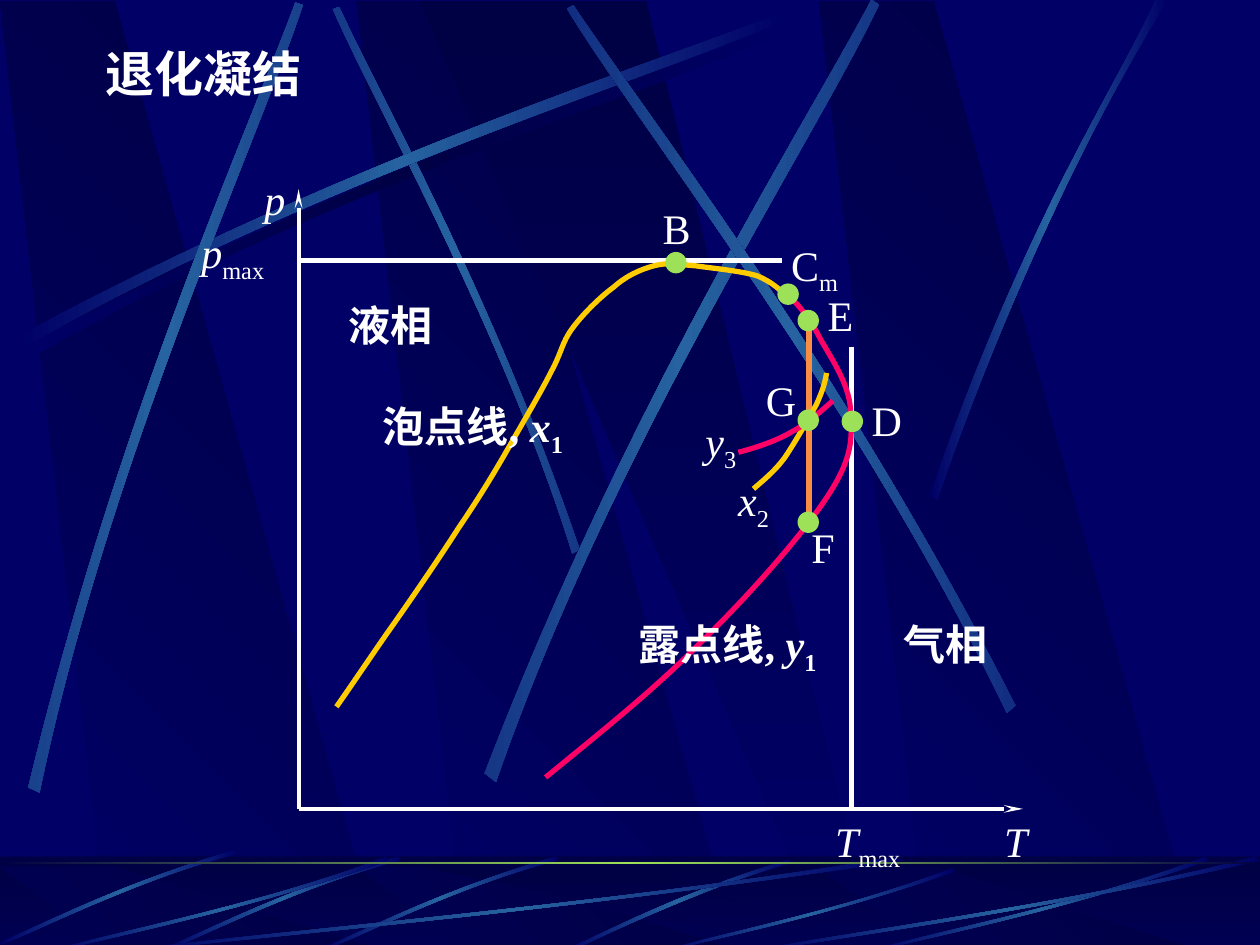
"""Build the retrograde condensation phase diagram slide."""
from dataclasses import dataclass
from math import cos, radians, sin

from pptx import Presentation
from pptx import util as u
from pptx.dml.color import RGBColor
from pptx.enum import shapes, text
from pptx.oxml import parse_xml
from pptx.oxml.ns import nsdecls, qn

NAVY = RGBColor(0x00, 0x00, 0x66)
DARK = RGBColor(0x00, 0x00, 0x44)
STEEL = RGBColor(0x26, 0x63, 0xA0)
GREEN = RGBColor(0x9C, 0xE1, 0x57)
WHITE = RGBColor(0xFF, 0xFF, 0xFF)
YELLOW = RGBColor(0xFF, 0xCC, 0x00)
PINK = RGBColor(0xFF, 0x00, 0x66)
ORANGE = RGBColor(0xF9, 0x8D, 0x43)
FONT = "Times New Roman"
GLOW = (NAVY, STEEL, NAVY)


@dataclass
class Outline:
    start: tuple
    segs: list
    pivot: tuple = (0, 0)
    turn: float = 0
    shift: tuple = (0, 0)


@dataclass
class Label:
    x: float
    y: float
    w: float
    plain: str = ""
    italic: str = ""
    sub: str = ""
    bold: bool = False
    size: int = 24
    wrap: bool = False


@dataclass
class Line:
    x1: float
    y1: float
    x2: float
    y2: float
    color: RGBColor = WHITE
    width: float = 3
    arrow: bool = False


def place(o: Outline, x: float, y: float) -> tuple:
    """Return a point turned back into the frame of its outline, in EMU."""
    a = radians(-o.turn)
    dx, dy = x - o.pivot[0], y - o.pivot[1]
    return (u.Inches(o.pivot[0] + dx * cos(a) - dy * sin(a) + o.shift[0]),
            u.Inches(o.pivot[1] + dx * sin(a) + dy * cos(a) + o.shift[1]))


def draw_outline(s, o: Outline, closed: bool = True):
    """Draw an outline whose segments are lines (2 values) or cubics (6 values)."""
    pts = [place(o, *seg[i:i + 2]) for seg in o.segs for i in range(0, len(seg), 2)]
    fb = s.shapes.build_freeform(*place(o, *o.start), scale=1.0)
    fb.add_line_segments(pts, close=closed)
    sp = fb.convert_to_shape()
    steps = iter(list(sp._element.iter(qn("a:lnTo"))))
    for seg in o.segs:
        first = next(steps)
        if len(seg) == 6:
            curve = parse_xml(f"<a:cubicBezTo {nsdecls('a')}/>")
            first.addprevious(curve)
            for step in (first, next(steps), next(steps)):
                curve.append(step[0])
                step.getparent().remove(step)
    sp.rotation = o.turn
    sp.shadow.inherit = False
    return sp


def paint(sp, colors: tuple, angle: float) -> None:
    """Fill a shape with evenly spaced gradient colours and no line."""
    sp.fill.solid()
    stops = "".join(f'<a:gs pos="{round(100000 * i / (len(colors) - 1))}"><a:srgbClr val="{c}"/></a:gs>'
                    for i, c in enumerate(colors))
    old = sp._element.spPr.find(qn("a:solidFill"))
    old.getparent().replace(old, parse_xml(
        f'<a:gradFill {nsdecls("a")} rotWithShape="0"><a:gsLst>{stops}</a:gsLst>'
        f'<a:lin ang="{angle * 60000}" scaled="1"/></a:gradFill>'))
    sp.line.fill.background()


def add_preset(s, kind, x: float, y: float, w: float, h: float, color: RGBColor = NAVY):
    """Add a preset shape with a plain fill and no line."""
    sp = s.shapes.add_shape(kind, u.Inches(x), u.Inches(y), u.Inches(w), u.Inches(h))
    sp.shadow.inherit = False
    sp.fill.solid()
    sp.fill.fore_color.rgb = color
    sp.line.fill.background()
    return sp


def add_slabs(s, top: float, h: float) -> None:
    """Draw the slanted dark slabs of one backdrop zone."""
    for x in (2.83, 0, 6.5):
        o = Outline((x + 0.86, top + h), [(x + 3.02, top + h), (x + 0.91, top), (x, top)])
        paint(draw_outline(s, o), (NAVY, DARK), 315)
    o = Outline((3.33, top), [(6.58, top + h), (6.94, top + h), (5.13, top)])
    paint(draw_outline(s, o), (DARK, NAVY), 90)


def sweep(x: float, y: float, w: float, h: float) -> Outline:
    """Return a thin rising streak that fills the given frame."""
    def at(*v):
        return tuple(y + h * n if i % 2 else x + w * n for i, n in enumerate(v))
    return Outline(at(1, 0.04), [at(0.57, 0.57, 0.17, 0.85, 0.01, 1), at(0, 0.99),
                                 at(0.16, 0.81, 0.62, 0.51, 0.99, 0)])


def add_line(s, n: Line) -> None:
    """Draw a straight line, with an arrowhead if asked."""
    c = s.shapes.add_connector(shapes.MSO_CONNECTOR.STRAIGHT, u.Inches(n.x1), u.Inches(n.y1),
                               u.Inches(n.x2), u.Inches(n.y2))
    c.line.color.rgb = n.color
    c.line.width = u.Pt(n.width)
    if n.arrow:
        c.line._get_or_add_ln().append(
            parse_xml(f'<a:tailEnd {nsdecls("a")} type="stealth" w="sm" len="lg"/>'))
    c._element.spPr.append(parse_xml(f"<a:effectLst {nsdecls('a')}/>"))


def add_label(s, n: Label) -> None:
    """Write a label of plain, italic and subscript parts."""
    h = 0.57 if n.size > 24 else 0.56 if n.sub else 0.5
    tf = s.shapes.add_textbox(u.Inches(n.x), u.Inches(n.y), u.Inches(n.w), u.Inches(h)).text_frame
    tf.word_wrap = n.wrap
    tf.auto_size = text.MSO_AUTO_SIZE.SHAPE_TO_FIT_TEXT
    for part in ("plain", "italic", "sub"):
        if getattr(n, part):
            r = tf.paragraphs[0].add_run()
            r.text = getattr(n, part)
            r.font.name, r.font.size, r.font.bold = FONT, u.Pt(n.size), n.bold
            r.font.italic = part == "italic"
            r.font.color.rgb = WHITE
            if part == "sub":
                r.font._element.set("baseline", "-25000")


BEAM = ((0.14, 2.67), [(2.78, 1.25, 5.18, 0.51, 6.2, 0.1), (6.23, 0.16),
                       (5.22, 0.61, 2.48, 1.43, 0.17, 2.77)])
ARC = ((4.42, 6.8), [(3.55, 7.05, 2.87, 7.4, 2.56, 7.53), (2.57, 7.55),
                     (2.88, 7.43, 3.65, 7.03, 4.44, 6.83)])
STREAKS = [
    Outline((4.6, 4.36), [(3.91, 2.34, 3.02, 0.77, 2.69, 0.05), (2.64, 0.07),
                          (2.95, 0.79, 3.98, 2.58, 4.54, 4.39)], (3.62, 2.22), 45),
    Outline(*BEAM),
    Outline((0.23, 6.25), [(0.93, 3.34, 1.97, 1.05, 2.35, 0.02), (2.41, 0.04),
                           (2.07, 1.08, 0.86, 3.68, 0.32, 6.29)], (1.33, 3.15), 311.7),
    Outline((3.85, 6.14), [(4.98, 3.2, 6.38, 1.02, 6.92, 0), (6.98, 0.04),
                           (6.49, 1.08, 4.86, 3.55, 3.94, 6.21)], (5.43, 3.1), 321.6),
    Outline((8.06, 5.6), [(6.7, 2.93, 5.16, 0.95, 4.55, 0.04), (4.5, 0.07),
                          (5.07, 1.01, 6.85, 3.25, 7.99, 5.66)], (6.27, 2.85), 34.8),
    Outline((7.38, 3.93), [(8.14, 1.73, 8.88, 0.66, 9.17, 0), (9.27, 0),
                           (8.36, 1.45, 7.69, 3.22, 7.44, 3.97)])]
FLOOR_STREAKS = [
    Outline((6.27, 6.82), [(5.37, 7.09, 4.77, 7.42, 4.48, 7.54), (4.53, 7.55),
                           (4.9, 7.37, 5.71, 7, 6.28, 6.85)]),
    *[Outline(*ARC, (3.5, 7.17), 314.9, d) for d in ((0, 0), (-1.25, 0), (-2.55, -0.05))],
    *[sweep(*f) for f in ((1, 6.8, 6.17, 0.75), (0.42, 6.8, 2.67, 0.75), (5.27, 6.89, 2.31, 0.66),
                          (6.92, 6.8, 2.67, 0.75), (6, 6.8, 4, 0.75))]]
CURVES = [
    (YELLOW, Outline((2.67, 5.61), [
        (2.79, 5.44, 2.91, 5.26, 3.07, 5.03), (3.24, 4.79, 3.48, 4.44, 3.64, 4.19),
        (3.81, 3.94, 3.93, 3.74, 4.05, 3.53), (4.17, 3.32, 4.3, 3.1, 4.38, 2.94),
        (4.46, 2.79, 4.46, 2.72, 4.54, 2.61), (4.62, 2.5, 4.76, 2.36, 4.87, 2.28),
        (4.97, 2.19, 5.08, 2.14, 5.19, 2.11), (5.3, 2.08, 5.38, 2.1, 5.52, 2.11),
        (5.65, 2.13, 5.88, 2.15, 6.01, 2.19), (6.13, 2.24, 6.19, 2.3, 6.25, 2.36)])),
    (PINK, Outline((6.25, 2.33), [
        (6.33, 2.42, 6.42, 2.51, 6.5, 2.67), (6.58, 2.82, 6.74, 3.04, 6.75, 3.25),
        (6.76, 3.46, 6.78, 3.61, 6.58, 3.92), (6.39, 4.22, 5.96, 4.71, 5.58, 5.08),
        (5.21, 5.46, 4.77, 5.81, 4.33, 6.17)])),
    (YELLOW, Outline((5.98, 3.88), [
        (6.06, 3.81, 6.15, 3.74, 6.23, 3.63), (6.31, 3.51, 6.42, 3.32, 6.48, 3.21),
        (6.53, 3.1, 6.55, 3.03, 6.56, 2.96)])),
    (PINK, Outline((5.86, 3.59), [
        (6.01, 3.55, 6.16, 3.5, 6.28, 3.43), (6.41, 3.36, 6.51, 3.27, 6.61, 3.18)]))]
LINES = [Line(2.38, 2.07, 6.21, 2.07), Line(6.76, 2.75, 6.76, 6.42),
         Line(2.37, 6.42, 2.37, 1.5, width=2.25, arrow=True),
         Line(2.37, 6.42, 8.12, 6.42, width=2.25, arrow=True),
         Line(6.42, 2.55, 6.42, 4.14, ORANGE)]
DOTS = [(6.17, 2.25), (6.68, 3.26), (5.28, 2), (6.33, 4.06), (6.33, 2.46), (6.33, 3.25)]
LABELS = [
    Label(0.74, 0.3, 1.78, "退化凝结", bold=True, size=28),
    Label(2, 1.33, 0.36, italic="p"), Label(7.87, 6.42, 0.38, italic="T"),
    Label(2.94, 3.13, 1.74, "泡点线, ", "x", "1", True),
    Label(4.97, 4.86, 1.72, "露点线, ", "y", "1", True),
    Label(6.18, 1.85, 0.6, "C", sub="m"),
    Label(7.07, 4.86, 0.9, "气相", bold=True), Label(2.67, 2.33, 0.9, "液相", bold=True),
    Label(6.82, 3.08, 0.44, "D"), Label(5.16, 1.56, 0.42, "B"),
    Label(6.53, 6.42, 0.75, "", "T", "max"), Label(1.5, 1.75, 0.84, "", "p", "max", wrap=True),
    Label(6.47, 2.25, 0.4, "E"), Label(6.34, 4.09, 0.38, "F"), Label(5.98, 2.92, 0.44, "G"),
    Label(5.76, 3.72, 0.48, "", "x", "2"), Label(5.5, 3.25, 0.48, "", "y", "3")]


def add_backdrop(s) -> None:
    """Draw the slabs, streaks and floor behind the diagram."""
    rect = shapes.MSO_SHAPE.RECTANGLE
    add_slabs(s, 0.01, 7.51)
    paint(draw_outline(s, Outline(*BEAM, shift=(0.06, 0.08))), (NAVY, DARK, NAVY), 0)
    for o in STREAKS:
        paint(draw_outline(s, o), GLOW, 0)
    paint(add_preset(s, rect, 0, 6.8, 10, 0.75), (DARK, NAVY), 90)
    add_slabs(s, 6.88, 0.66)
    veil = add_preset(s, rect, 0, 6.79, 10, 0.75, DARK)
    clr = veil._element.spPr.find(qn("a:solidFill"))[0]
    clr.append(parse_xml(f'<a:alpha {nsdecls("a")} val="50000"/>'))
    for o in FLOOR_STREAKS:
        paint(draw_outline(s, o), GLOW, 0)
    paint(add_preset(s, rect, 0, 6.84, 10, 0.02), (DARK, GREEN, DARK), 0)


def main() -> None:
    """Build and save the slide."""
    prs = Presentation()
    prs.slide_width, prs.slide_height = u.Inches(10), u.Inches(7.5)
    s = prs.slides.add_slide(prs.slide_layouts[6])
    s.background.fill.solid()
    s.background.fill.fore_color.rgb = NAVY
    add_backdrop(s)
    for n in LINES:
        add_line(s, n)
    for color, o in CURVES:
        sp = draw_outline(s, o, closed=False)
        sp.fill.background()
        sp.line.color.rgb = color
        sp.line.width = u.Pt(3)
    for x, y in DOTS:
        add_preset(s, shapes.MSO_SHAPE.OVAL, x, y, 0.17, 0.17, GREEN)
    for n in LABELS:
        add_label(s, n)
    prs.save("out.pptx")


if __name__ == "__main__":
    main()
